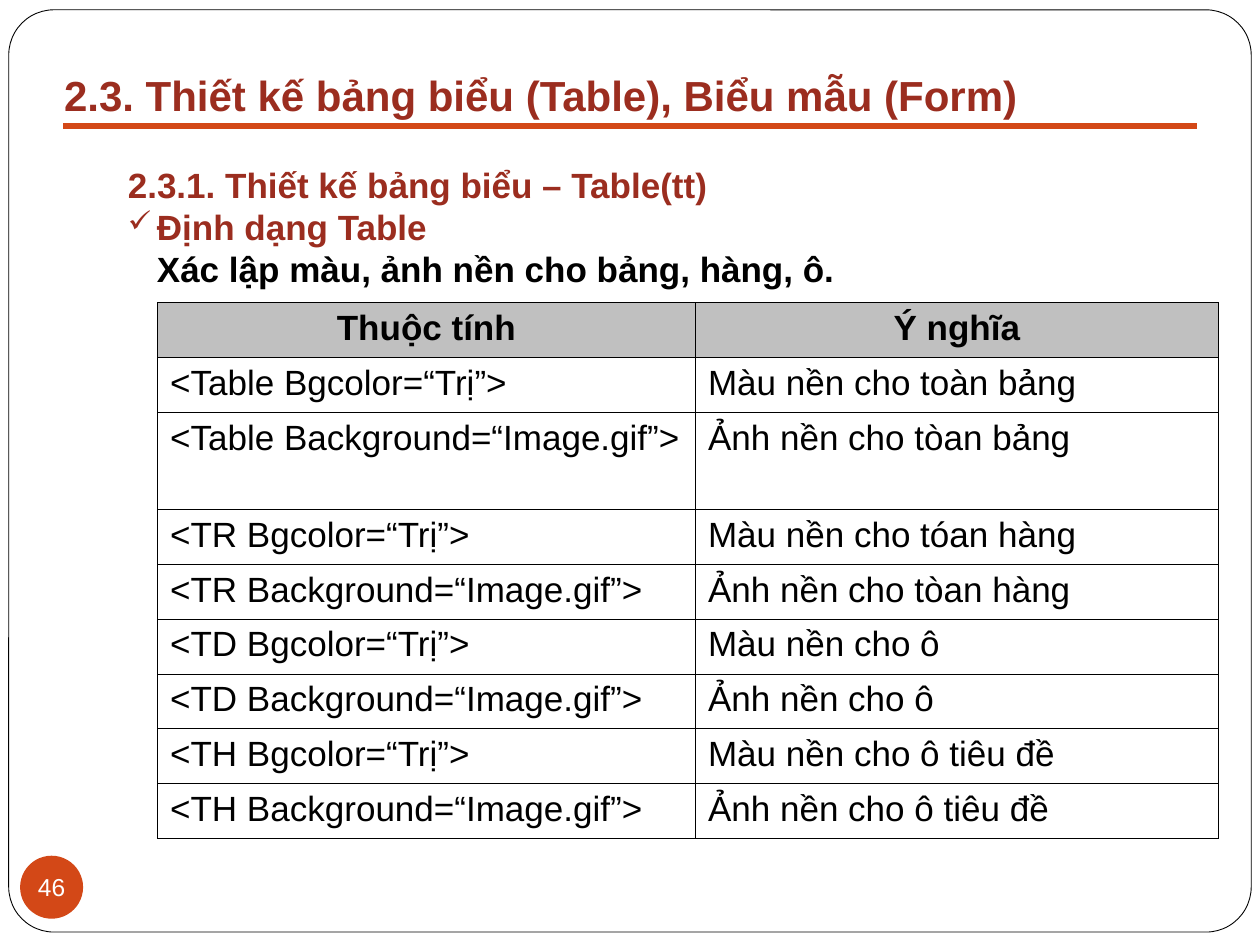
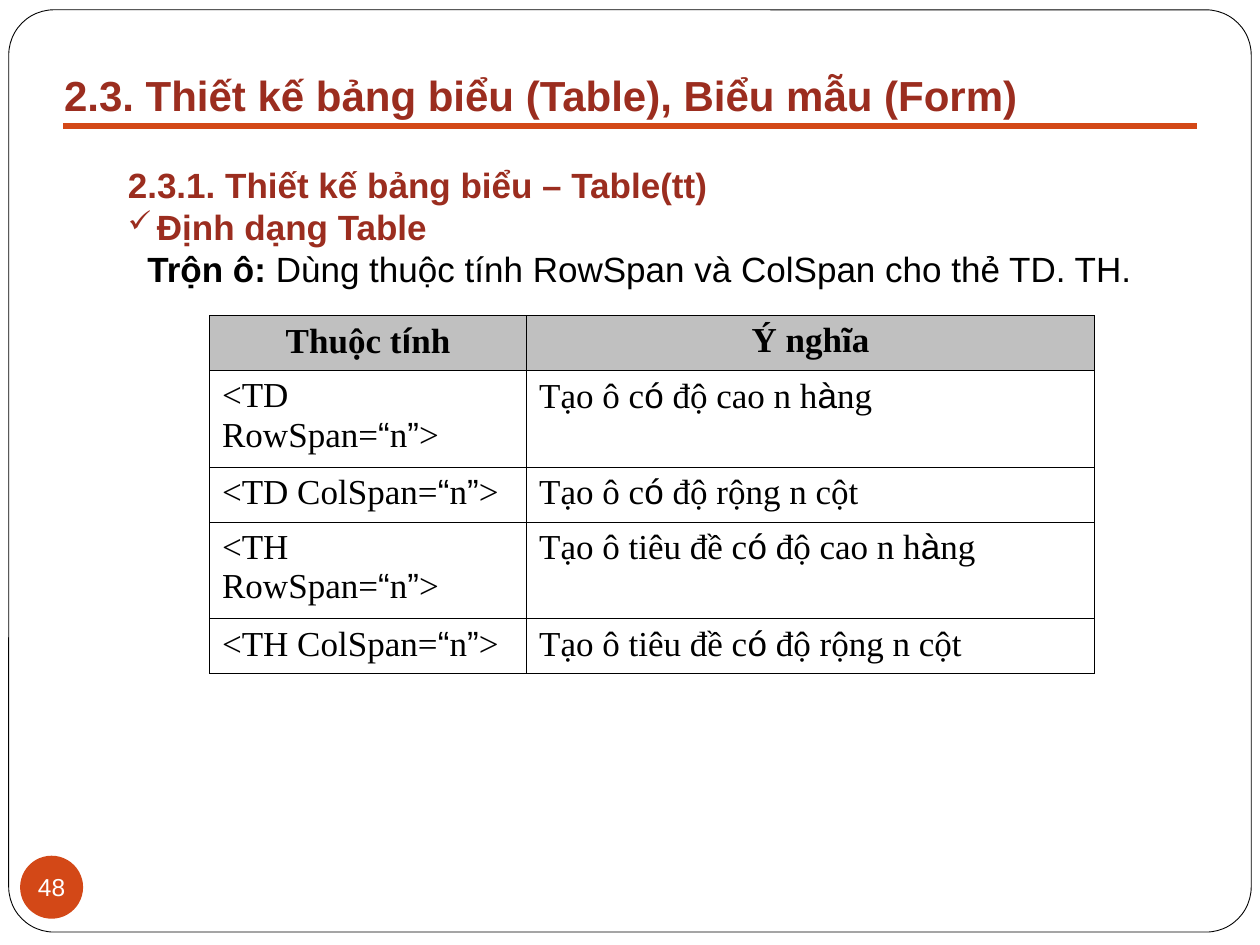
"""Build two slides on formatting HTML tables."""
from itertools import groupby

from lxml import etree
from pptx import Presentation
from pptx import util as u
from pptx.dml.color import RGBColor
from pptx.enum import shapes, text
from pptx.oxml import parse_xml
from pptx.oxml.ns import nsdecls, qn

Pt = u.Pt
rgb = RGBColor.from_string
ORANGE, RED, BLACK, WHITE, GREY = "D34817", "9B2D1F", "000000", "FFFFFF", "C0C0C0"
ARIAL, TIMES = "Arial", "Times New Roman"
ARIAL_CHARS = "íóà“”"
ROW_H, TALL_ROW_H = 31.4, 55.4
TITLE = "2.3. Thiết kế bảng biểu (Table), Biểu mẫu (Form)"
SECTION = "2.3.1. Thiết kế bảng biểu – Table(tt)"
TOPIC = "Định dạng Table"
HEADER = ("Thuộc tính", "Ý nghĩa")


def write(p, txt, size=20, font=ARIAL, color=BLACK, bold=False, align=None):
    r = p.add_run()
    r.text = txt
    r.font.size, r.font.name, r.font.bold = Pt(size), font, bold
    r.font.color.rgb = rgb(color)
    if align is not None:
        p.alignment = align


pages = [
    dict(
        number="46", lead="Xác lập màu, ảnh nền cho bảng, hàng, ô.", rest="", indent=16.6,
        left=90, top=172.8, widths=(307.4, 298.8), font=ARIAL, tall_rows=(2,),
        rows=[
            ("<Table Bgcolor=“Trị”>", "Màu nền cho toàn bảng"),
            ("<Table Background=“Image.gif”>", "Ảnh nền cho tòan bảng"),
            ("<TR Bgcolor=“Trị”>", "Màu nền cho tóan hàng"),
            ("<TR Background=“Image.gif”>", "Ảnh nền cho tòan hàng"),
            ("<TD Bgcolor=“Trị”>", "Màu nền cho ô"),
            ("<TD Background=“Image.gif”>", "Ảnh nền cho ô"),
            ("<TH Bgcolor=“Trị”>", "Màu nền cho ô tiêu đề"),
            ("<TH Background=“Image.gif”>", "Ảnh nền cho ô tiêu đề"),
        ],
    ),
    dict(
        number="48", lead="Trộn ô:", indent=11.1,
        rest=" Dùng thuộc tính RowSpan và ColSpan cho thẻ TD. TH.",
        left=119.7, top=180.2, widths=(181.2, 324.6), font=TIMES, tall_rows=(),
        rows=[
            ("<TD RowSpan=“n”>", "Tạo ô có độ cao n hàng"),
            ("<TD ColSpan=“n”>", "Tạo ô có độ rộng n cột"),
            ("<TH RowSpan=“n”>", "Tạo ô tiêu đề có độ cao n hàng"),
            ("<TH ColSpan=“n”>", "Tạo ô tiêu đề có độ rộng n cột"),
        ],
    ),
]

prs = Presentation()
prs.slide_width, prs.slide_height = Pt(720), Pt(540)

for page in pages:
    s = prs.slides.add_slide(prs.slide_layouts[6])

    frame = s.shapes.add_shape(
        shapes.MSO_SHAPE.ROUNDED_RECTANGLE, Pt(5), Pt(5.6), Pt(710), Pt(527))
    frame.adjustments[0] = 0.049
    frame.shadow.inherit = False
    frame.fill.solid()
    frame.fill.fore_color.rgb = rgb(WHITE)
    frame.line.color.rgb = rgb(BLACK)
    frame.line.width = Pt(0.5)

    badge = s.shapes.add_shape(shapes.MSO_SHAPE.OVAL, Pt(11.5), Pt(489), Pt(36), Pt(36))
    badge.shadow.inherit = False
    badge.fill.solid()
    badge.fill.fore_color.rgb = rgb(ORANGE)
    badge.line.fill.background()
    tf = badge.text_frame
    tf.margin_left = tf.margin_right = tf.margin_top = tf.margin_bottom = 0
    tf.vertical_anchor = text.MSO_ANCHOR.MIDDLE
    tf.word_wrap = False
    write(tf.paragraphs[0], page["number"], size=14, color=WHITE, align=text.PP_ALIGN.CENTER)

    rule = s.shapes.add_connector(shapes.MSO_CONNECTOR.STRAIGHT, Pt(36), Pt(72), Pt(684), Pt(72))
    rule.line.color.rgb = rgb(ORANGE)
    rule.line.width = Pt(3)
    etree.SubElement(rule._element.spPr, qn("a:effectLst"))

    tf = s.shapes.add_textbox(Pt(29.5), Pt(36), Pt(561), Pt(36)).text_frame
    tf.vertical_anchor = text.MSO_ANCHOR.MIDDLE
    tf.word_wrap = False
    write(tf.paragraphs[0], TITLE, size=24, color=RED, bold=True)

    tf = s.shapes.add_textbox(Pt(66), Pt(90), Pt(618), Pt(79.2)).text_frame
    tf.vertical_anchor = text.MSO_ANCHOR.MIDDLE
    tf.word_wrap = True
    write(tf.paragraphs[0], SECTION, color=RED, bold=True)

    p = tf.add_paragraph()
    pPr = p._p.get_or_add_pPr()
    pPr.set("marL", str(Pt(16.6)))
    pPr.set("indent", str(-Pt(16.6)))
    ns = nsdecls("a")
    pPr.append(parse_xml(f'<a:buClr {ns}><a:srgbClr val="{RED}"/></a:buClr>'))
    pPr.append(parse_xml(f'<a:buSzPct {ns} val="85000"/>'))
    pPr.append(parse_xml(f'<a:buChar {ns} char="✓"/>'))
    write(p, TOPIC, color=RED, bold=True)

    p = tf.add_paragraph()
    p._p.get_or_add_pPr().set("marL", str(Pt(page["indent"])))
    write(p, page["lead"], bold=True)
    if page["rest"]:
        write(p, page["rest"])

    rows = [HEADER] + page["rows"]
    heights = [TALL_ROW_H if i in page["tall_rows"] else ROW_H for i in range(len(rows))]
    table = s.shapes.add_table(
        len(rows), 2, Pt(page["left"]), Pt(page["top"]),
        Pt(sum(page["widths"])), Pt(sum(heights))).table
    table.first_row = table.horz_banding = False
    for col, width in zip(table.columns, page["widths"]):
        col.width = Pt(width)
    for i, (row, height) in enumerate(zip(table.rows, heights)):
        row.height = Pt(height)
        for cell, txt in zip(row.cells, rows[i]):
            tcPr = cell._tc.get_or_add_tcPr()
            for side in "LRTB":
                tcPr.append(parse_xml(
                    f'<a:ln{side} {ns} w="{Pt(0.45)}"><a:solidFill>'
                    f'<a:srgbClr val="{BLACK}"/></a:solidFill></a:ln{side}>'))
            if i == 0:
                cell.fill.solid()
                cell.fill.fore_color.rgb = rgb(GREY)
            else:
                cell.fill.background()
            p = cell.text_frame.paragraphs[0]
            for in_arial, chars in groupby(txt, lambda c: c in ARIAL_CHARS):
                write(p, "".join(chars), font=ARIAL if in_arial else page["font"],
                      bold=i == 0, align=text.PP_ALIGN.CENTER if i == 0 else None)

prs.save("out.pptx")
